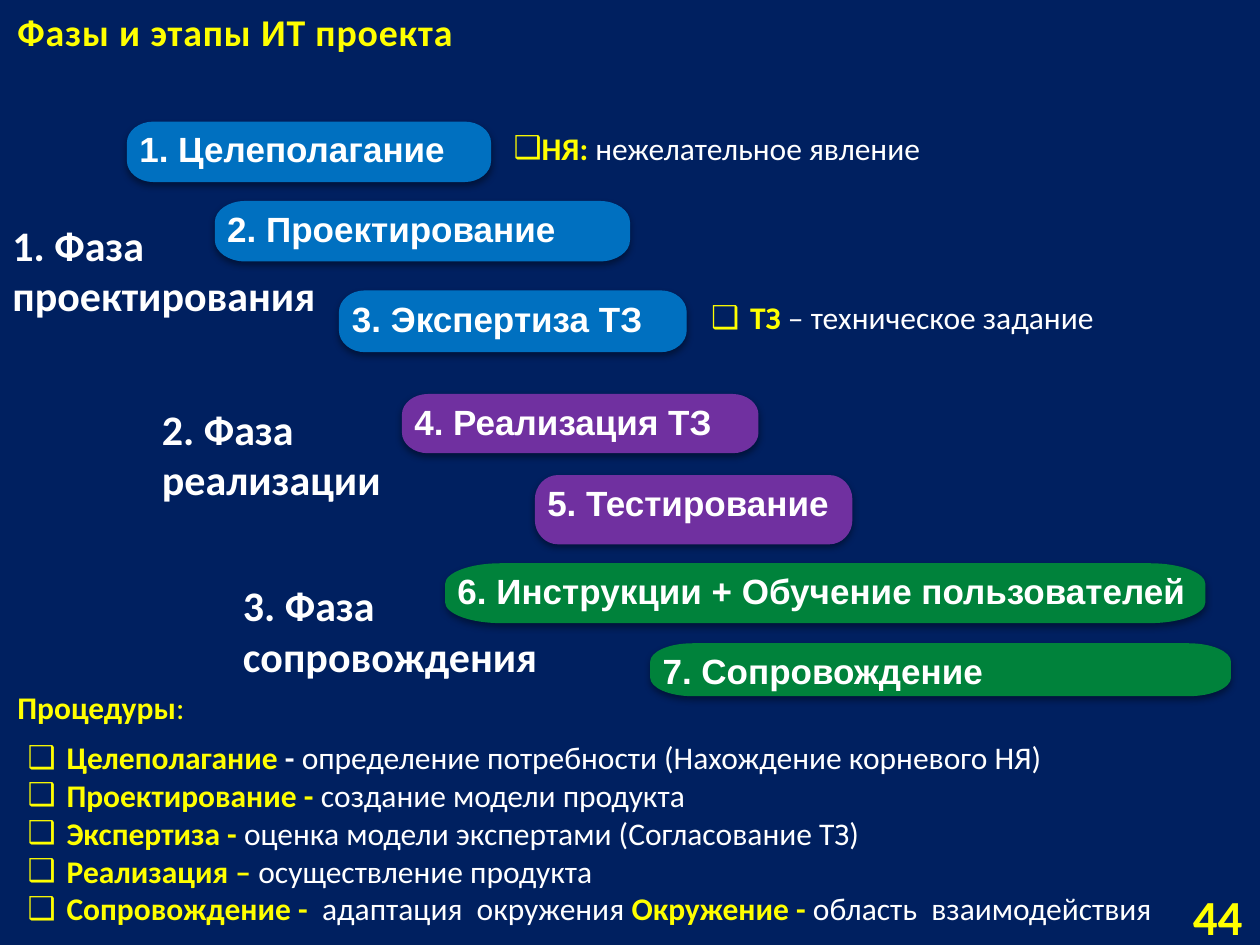
import lxml.etree
import pptx
import pptx.dml.color
import pptx.enum.shapes
import pptx.enum.text
import pptx.oxml.ns
import pptx.util

RGB = pptx.dml.color.RGBColor
NAVY = RGB(0x00, 0x20, 0x60)
BLUE = RGB(0x00, 0x70, 0xC0)
PURPLE = RGB(0x70, 0x30, 0xA0)
GREEN = RGB(0x00, 0x82, 0x3B)
YELLOW = RGB(0xFF, 0xFF, 0x00)
WHITE = RGB(0xFF, 0xFF, 0xFF)

COLS, ROWS = 100, 75
CELL = pptx.util.Inches(0.1)
ROUNDNESS = 0.55  # pull of a curve towards its corner
ALIGN = pptx.enum.text.PP_ALIGN
ANCHOR = pptx.enum.text.MSO_ANCHOR
AUTO_SIZE = pptx.enum.text.MSO_AUTO_SIZE

STAGE = {"name": "Arial", "size": pptx.util.Pt(20), "bold": True}
PHASE = {"name": "Calibri", "size": pptx.util.Pt(24), "bold": True}
TITLE = {"name": "Calibri", "size": pptx.util.Pt(21.6), "bold": True}
NUMBER = {"name": "Calibri", "size": pptx.util.Pt(28), "bold": True}
TERM = {"name": "Calibri", "size": pptx.util.Pt(18), "bold": True}
NOTE = {**TERM, "bold": False}

# text, fill, (column, row, columns, rows), line width in points
STAGES = [
    ("2. Проектирование", BLUE, (17.05, 15.95, 32.95, 4.8), 0),
    ("3. Экспертиза ТЗ", BLUE, (26.95, 23.1, 27.5, 4.8), 0.75),
    ("4. Реализация ТЗ", PURPLE, (31.9, 31.27, 28.3, 4.7), 0),
    ("5. Тестирование", PURPLE, (42.45, 37.7, 25.2, 5.5), 0),
    ("1. Целеполагание", BLUE, (10.07, 9.65, 28.9, 4.8), 0),
    ("7. Сопровождение", GREEN, (51.6, 51.05, 46.1, 4.2), 0),
    ("6. Инструкции + Обучение пользователей", GREEN, (35.32, 44.7, 60.35, 4.75), 0),
]

PHASES = [
    (["2. Фаза реализации"], (11.87, 31.5, 24, 9.1)),
    (["3. Фаза сопровождения"], (18.3, 45.52, 28.7, 5.7)),
    (["1. Фаза", "проектирования"], (0, 16.92, 29.5, 13.1)),
]

PROCEDURES = [
    [("Целеполагание ", TERM, YELLOW), ("- ", TERM, WHITE),
     ("определение потребности (Нахождение корневого НЯ)", NOTE, WHITE)],
    [("Проектирование - ", TERM, YELLOW), ("создание модели продукта", NOTE, WHITE)],
    [("Экспертиза - ", TERM, YELLOW),
     ("оценка модели экспертами (Согласование ТЗ)", NOTE, WHITE)],
    [("Реализация – ", TERM, YELLOW), ("осуществление продукта", NOTE, WHITE)],
    [("Сопровождение -  ", TERM, YELLOW), ("адаптация  окружения ", NOTE, WHITE),
     ("Окружение - ", TERM, YELLOW), ("область  взаимодействия", NOTE, WHITE)],
]


def grid(*cells):
    return [round(c * CELL) for c in cells]


def add_xml(parent, tag, **attrs):
    child = lxml.etree.SubElement(parent, pptx.oxml.ns.qn(tag))
    for name, value in attrs.items():
        child.set(name, str(value))
    return child


def add_shadow(shape):
    effects = add_xml(shape._element.spPr, "a:effectLst")
    shadow = add_xml(effects, "a:outerShdw", blurRad=pptx.util.Pt(4),
                     dist=pptx.util.Pt(2), dir=90 * 60000, rotWithShape=0)
    add_xml(add_xml(shadow, "a:srgbClr", val="000000"), "a:alpha", val=40000)


def add_bullet(p, hang):
    pPr = p._p.get_or_add_pPr()
    pPr.set("marL", str(pptx.util.Inches(hang)))
    pPr.set("indent", str(-pptx.util.Inches(hang)))
    add_xml(pPr, "a:buFont", typeface="Arial")
    add_xml(pPr, "a:buChar", char="❑")


def write(tf, paragraphs, align=ALIGN.LEFT, hang=None):
    """Fill a frame; each paragraph is a list of (text, font format, colour)."""
    for i, runs in enumerate(paragraphs):
        p = tf.add_paragraph() if i else tf.paragraphs[0]
        p.alignment = align
        if hang:
            add_bullet(p, hang)
        for text, font, color in runs:
            r = p.add_run()
            r.text = text
            for name, value in font.items():
                setattr(r.font, name, value)
            r.font.color.rgb = color


def add_text(s, box, paragraphs, anchor=ANCHOR.TOP,
             auto_size=AUTO_SIZE.SHAPE_TO_FIT_TEXT, **layout):
    tf = s.shapes.add_textbox(*grid(*box)).text_frame
    frame = {"word_wrap": True, "vertical_anchor": anchor, "auto_size": auto_size}
    for name, value in frame.items():
        setattr(tf, name, value)
    write(tf, paragraphs, **layout)
    return tf


def add_slab(s, left, top, width, height):
    """Rectangle whose four corners are quarter ellipses."""
    rx, ry = round(0.073 * width), round(0.35 * height)
    points = [(rx, height), (width - rx, height), (width, height - ry), (width, ry),
              (width - rx, 0), (rx, 0), (0, ry), (0, height - ry)]
    corners = [(width, height), (width, 0), (0, 0), (0, height)]
    builder = s.shapes.build_freeform(*points[0])
    builder.add_line_segments(points[1:] + points[:1], close=True)
    sp = builder.convert_to_shape(left, top)

    lines = list(sp._element.iter(pptx.oxml.ns.qn("a:lnTo")))
    for i, corner in enumerate(corners):
        start, end = points[2 * i + 1], points[(2 * i + 2) % len(points)]
        pulls = [[round(a + ROUNDNESS * (c - a)) for a, c in zip(point, corner)]
                 for point in (start, end)]
        curve = lxml.etree.Element(pptx.oxml.ns.qn("a:cubicBezTo"))
        for x, y in (*pulls, end):
            add_xml(curve, "a:pt", x=x, y=y)
        line = lines[2 * i + 1]
        line.getparent().replace(line, curve)
    return sp


def add_stage(s, text, color, box, line_width):
    sp = add_slab(s, *grid(*box))
    sp.fill.solid()
    sp.fill.fore_color.rgb = color
    if line_width:
        sp.line.color.rgb = color
        sp.line.width = pptx.util.Pt(line_width)
    else:
        sp.line.fill.background()
    add_shadow(sp)
    sp.text_frame.word_wrap = True
    sp.text_frame.vertical_anchor = ANCHOR.TOP
    write(sp.text_frame, [[(text, STAGE, WHITE)]])


def add_number(s, text, box):
    sp = s.shapes.add_shape(pptx.enum.shapes.MSO_SHAPE.RECTANGLE, *grid(*box))
    sp.shadow.inherit = False
    sp.fill.solid()
    sp.fill.fore_color.rgb = NAVY
    sp.line.fill.background()
    sp.text_frame.vertical_anchor = ANCHOR.MIDDLE
    write(sp.text_frame, [[(text, NUMBER, YELLOW)]], align=ALIGN.RIGHT)


def main():
    prs = pptx.Presentation()
    prs.slide_width, prs.slide_height = grid(COLS, ROWS)
    s = prs.slides.add_slide(prs.slide_layouts[6])
    s.background.fill.solid()
    s.background.fill.fore_color.rgb = NAVY

    for stage in STAGES:
        add_stage(s, *stage)
    for lines, box in PHASES:
        add_text(s, box, [[(line, PHASE, WHITE)] for line in lines])

    title = add_text(s, (0.4, 0, 47, 4.8),
                     [[("Фазы и этапы ИТ проекта", TITLE, YELLOW)]],
                     ANCHOR.BOTTOM, AUTO_SIZE.NONE)
    title.paragraphs[0].runs[0]._r.get_or_add_rPr().set("spc", "50")

    add_number(s, "44", (89.4, 70.7, 10.2, 4))
    add_text(s, (54.87, 23.2, 33.5, 4),
             [[("ТЗ", TERM, YELLOW), (" – техническое задание", NOTE, WHITE)]],
             align=ALIGN.CENTER, hang=0.31)
    add_text(s, (1.2, 58.1, 92.1, 16.2), PROCEDURES, hang=0.31)
    add_text(s, (0.4, 54.1, 18, 4), [[("Процедуры", TERM, YELLOW), (":", NOTE, YELLOW)]])
    add_text(s, (39.77, 9.75, 36.8, 4),
             [[("НЯ: ", TERM, YELLOW), ("нежелательное явление", NOTE, WHITE)]], hang=0.19)

    prs.save("out.pptx")


if __name__ == "__main__":
    main()
